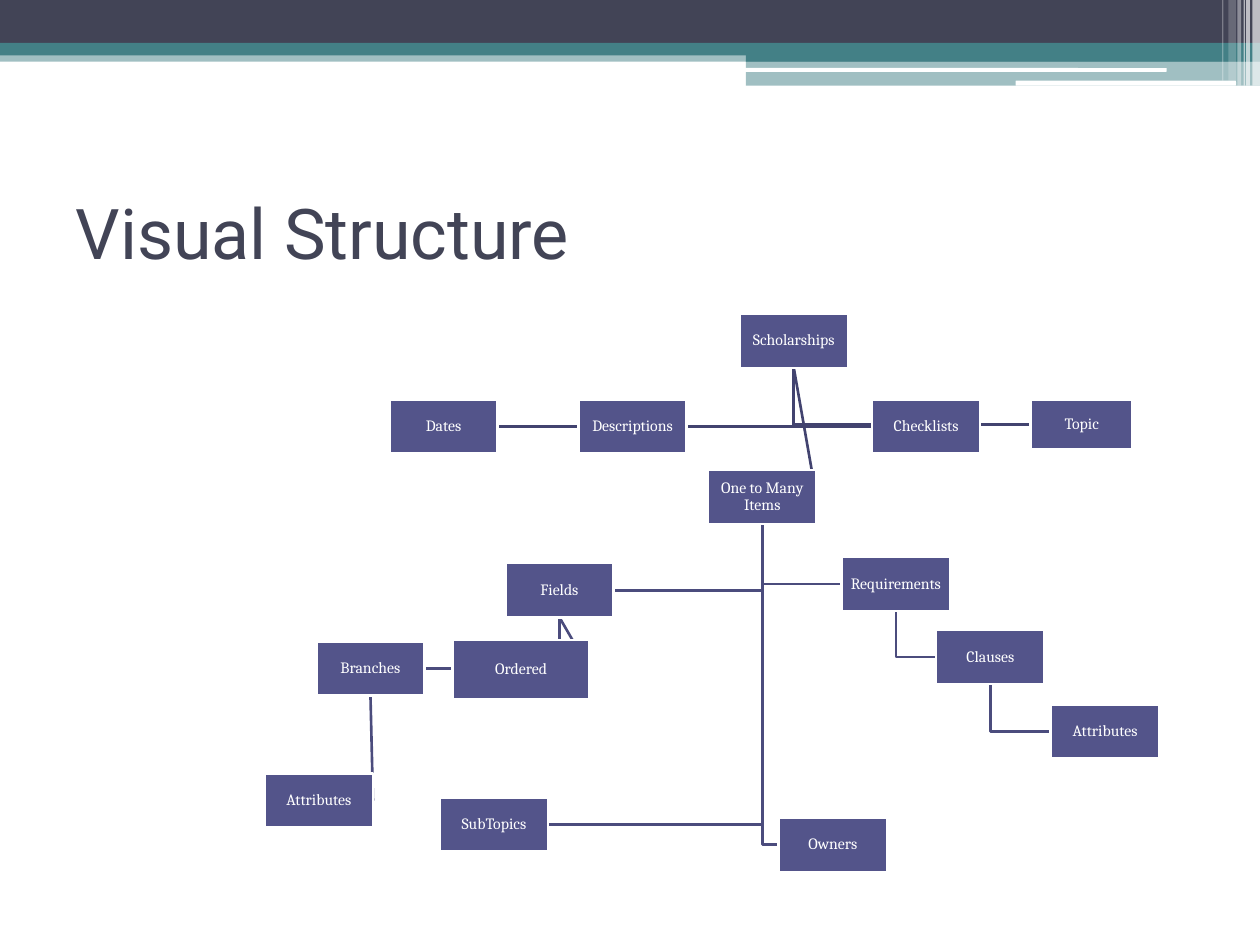
from dataclasses import dataclass

from lxml.etree import SubElement
from pptx import Presentation
from pptx.dml.color import RGBColor
from pptx.enum.shapes import MSO_SHAPE
from pptx.enum.text import MSO_ANCHOR, PP_ALIGN
from pptx.oxml.ns import qn
from pptx.util import Inches, Pt


@dataclass(frozen=True)
class Theme:
    dark: str = "424456"
    teal: str = "438086"
    white: str = "FFFFFF"
    box: str = "53548A"
    top_link: str = "42436F"
    lower_link: str = "4B4C7D"
    title_font: str = "Roboto"
    box_font: str = "Cambria"
    title_size: float = 40
    box_size: float = 9
    line_width: float = 1.5


THEME = Theme()


@dataclass(frozen=True)
class Bar:
    left: float
    top: float
    width: float
    height: float
    color: str
    opacity: int = 100
    rounded: bool = False


@dataclass(frozen=True)
class Box:
    text: str
    left: float
    top: float
    width: float = 0.86
    height: float = 0.43

    @property
    def center(self) -> float:
        return self.left + self.width / 2

    @property
    def middle(self) -> float:
        return self.top + self.height / 2

    @property
    def right(self) -> float:
        return self.left + self.width

    @property
    def bottom(self) -> float:
        return self.top + self.height


@dataclass(frozen=True)
class Link:
    """Runs from the bottom of the parent to one side of the child."""
    parent: str
    child: str
    to_right_side: bool = False
    elbow: bool = True
    color: str = THEME.lower_link


BARS = [
    Bar(0, 0.4, 10, 0.09, THEME.teal, 50),
    Bar(0, 0, 10, 0.34, THEME.dark),
    Bar(0, 0.34, 10, 0.1, THEME.teal),
    Bar(5.92, 0.39, 4.08, 0.1, THEME.teal),
    Bar(5.92, 0.48, 4.08, 0.2, THEME.teal, 50),
    Bar(5.91, 0.54, 3.35, 0.03, THEME.white, rounded=True),
    Bar(8.06, 0.64, 1.75, 0.04, THEME.white, rounded=True),
    Bar(9.94, 0, 0.06, 0.68, THEME.white, 65),
    Bar(9.89, 0, 0.03, 0.68, THEME.white, 65),
    Bar(9.87, 0, 0.01, 0.68, THEME.white, 60),
    Bar(9.82, 0, 0.03, 0.68, THEME.white, 40),
    Bar(9.75, 0, 0.06, 0.64, THEME.white, 20),
    Bar(9.7, 0, 0.01, 0.64, THEME.white, 30),
]

BOXES = {
    "scholarships": Box("Scholarships", 5.87, 2.49),
    "dates": Box("Dates", 3.09, 3.17),
    "descriptions": Box("Descriptions", 4.59, 3.17),
    "checklists": Box("Checklists", 6.92, 3.17),
    "topic": Box("Topic", 8.18, 3.17, 0.81, 0.4),
    "items": Box("One to Many Items", 5.62, 3.73),
    "fields": Box("Fields", 4.01, 4.47),
    "branches": Box("Branches", 2.51, 5.09),
    "branch attributes": Box("Attributes", 2.1, 6.14),
    "ordered": Box("Ordered", 3.59, 5.08, 1.09, 0.47),
    "requirements": Box("Requirements", 6.68, 4.42),
    "clauses": Box("Clauses", 7.43, 5),
    "clause attributes": Box("Attributes", 8.34, 5.59),
    "subtopics": Box("SubTopics", 3.49, 6.33),
    "owners": Box("Owners", 6.18, 6.49),
}

LINKS = [
    Link("items", "owners"),
    Link("items", "subtopics", True),
    Link("clauses", "clause attributes"),
    Link("requirements", "clauses"),
    Link("items", "requirements"),
    Link("fields", "ordered", True, elbow=False),
    Link("branches", "branch attributes", True, elbow=False),
    Link("fields", "branches", True),
    Link("items", "fields", True),
    Link("scholarships", "items", True, elbow=False, color=THEME.top_link),
    Link("scholarships", "topic", color=THEME.top_link),
    Link("scholarships", "checklists", color=THEME.top_link),
    Link("scholarships", "descriptions", True, color=THEME.top_link),
    Link("scholarships", "dates", True, color=THEME.top_link),
]


def rgb(color: str) -> RGBColor:
    return RGBColor.from_string(color)


def add_block(slide, kind, item: Bar | Box, color: str):
    shape = slide.shapes.add_shape(kind, Inches(item.left), Inches(item.top),
                                   Inches(item.width), Inches(item.height))
    shape.shadow.inherit = False
    shape.fill.solid()
    shape.fill.fore_color.rgb = rgb(color)
    return shape


def draw_bar(slide, bar: Bar) -> None:
    kind = MSO_SHAPE.ROUNDED_RECTANGLE if bar.rounded else MSO_SHAPE.RECTANGLE
    shape = add_block(slide, kind, bar, bar.color)
    shape.line.fill.background()
    if bar.opacity < 100:
        color = shape._element.spPr.find(qn("a:solidFill")).find(qn("a:srgbClr"))
        SubElement(color, qn("a:alpha"), val=str(bar.opacity * 1000))


def draw_link(slide, link: Link) -> None:
    parent, child = BOXES[link.parent], BOXES[link.child]
    end = (child.right if link.to_right_side else child.left, child.middle)
    points = [(parent.center, child.middle), end] if link.elbow else [end]
    builder = slide.shapes.build_freeform(Inches(parent.center), Inches(parent.bottom))
    builder.add_line_segments([(Inches(x), Inches(y)) for x, y in points], close=False)
    shape = builder.convert_to_shape()
    shape.shadow.inherit = False
    shape.fill.background()
    shape.line.color.rgb = rgb(link.color)
    shape.line.width = Pt(THEME.line_width)


def draw_box(slide, box: Box) -> None:
    shape = add_block(slide, MSO_SHAPE.RECTANGLE, box, THEME.box)
    shape.line.color.rgb = rgb(THEME.white)
    shape.line.width = Pt(THEME.line_width)
    frame = shape.text_frame
    frame.word_wrap = True
    frame.vertical_anchor = MSO_ANCHOR.MIDDLE
    frame.margin_left = frame.margin_right = Inches(0.01)
    frame.margin_top = frame.margin_bottom = Inches(0.01)
    write(frame, box.text, THEME.box_font, THEME.box_size, THEME.white, PP_ALIGN.CENTER)
    frame.paragraphs[0].line_spacing = 0.9


def write(frame, text: str, font: str, size: float, color: str, align) -> None:
    frame.text = text
    paragraph = frame.paragraphs[0]
    paragraph.alignment = align
    paragraph.font.name = font
    paragraph.font.size = Pt(size)
    paragraph.font.color.rgb = rgb(color)


def main() -> None:
    presentation = Presentation()
    presentation.slide_width, presentation.slide_height = Inches(10), Inches(7.5)
    slide = presentation.slides.add_slide(presentation.slide_layouts[5])

    # Header decoration
    for bar in BARS:
        draw_bar(slide, bar)

    # Title
    title = slide.shapes.title
    title.left, title.top = Inches(0.5), Inches(1.25)
    title.width, title.height = Inches(9), Inches(1.17)
    title.text_frame.vertical_anchor = MSO_ANCHOR.MIDDLE
    write(title.text_frame, "Visual Structure", THEME.title_font,
          THEME.title_size, THEME.dark, PP_ALIGN.LEFT)

    # Structure chart: links lie behind the boxes
    for link in LINKS:
        draw_link(slide, link)
    for box in BOXES.values():
        draw_box(slide, box)

    presentation.save("out.pptx")


if __name__ == "__main__":
    main()
